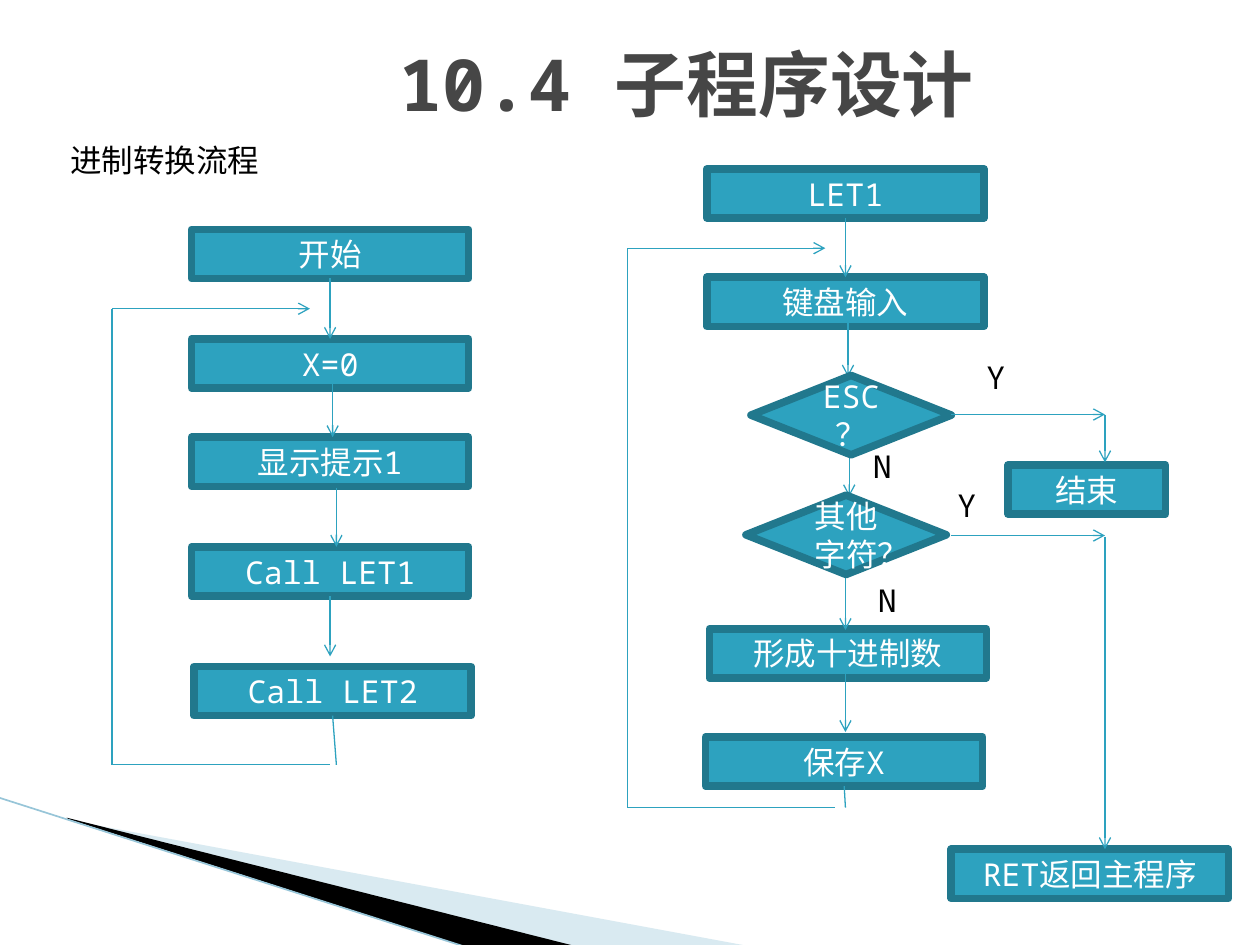
from dataclasses import dataclass
from lxml import etree
from pptx import Presentation
from pptx import util as u
from pptx.dml.color import RGBColor
from pptx.enum import shapes as sh, text as tx
from pptx.oxml.ns import qn


@dataclass(frozen=True)
class Theme:
    font: str = "Noto Sans Mono"
    title: str = "464646"
    fill: str = "2DA2BF"
    edge: str = "21788D"
    light: str = "FFFFFF"
    dark: str = "000000"
    pale: str = "A0CBDC"
    rule: str = "97C5D8"
    head: int = 41
    body: int = 18
    thick: float = 4.33
    thin: float = 0.75


T = Theme()
RECT = sh.MSO_SHAPE.RECTANGLE
DIAMOND = sh.MSO_SHAPE.DIAMOND
WIDE, HIGH = 2.2, 0.39


def rgb(code):
    return RGBColor.from_string(code)


def write(shape, words, color, size=T.body, bold=False, align=None):
    frame = shape.text_frame
    frame.text = words
    frame.word_wrap = True
    for para in frame.paragraphs:
        para.alignment = align
        for run in para.runs:
            font = run.font
            font.name, font.size, font.bold = T.font, u.Pt(size), bold
            font.color.rgb = rgb(color)
            east = etree.SubElement(run._r.get_or_add_rPr(), qn("a:ea"))
            east.set("typeface", T.font)
    return frame


def node(group, words, left, top, wide=WIDE, high=HIGH, kind=RECT):
    box = group.shapes.add_shape(kind, *map(u.Inches, (left, top, wide, high)))
    box.shadow.inherit = False
    box.fill.solid()
    box.fill.fore_color.rgb = rgb(T.fill)
    box.line.color.rgb = rgb(T.edge)
    box.line.width = u.Pt(T.thick)
    frame = write(box, words, T.light, align=tx.PP_ALIGN.CENTER)
    frame.vertical_anchor = tx.MSO_ANCHOR.MIDDLE


def label(owner, words, left, top, wide=0.43):
    box = owner.shapes.add_textbox(*map(u.Inches, (left, top, wide, 0.4)))
    write(box, words, T.dark).auto_size = tx.MSO_AUTO_SIZE.SHAPE_TO_FIT_TEXT


def line(owner, x1, y1, x2, y2, arrow=False, color=T.fill, width=T.thin):
    link = owner.shapes.add_connector(
        sh.MSO_CONNECTOR.STRAIGHT, *map(u.Inches, (x1, y1, x2, y2)))
    link.line.color.rgb = rgb(color)
    link.line.width = u.Pt(width)
    if arrow:
        etree.SubElement(link.line._get_or_add_ln(), qn("a:tailEnd")).set("type", "arrow")
    etree.SubElement(link._element.spPr, qn("a:effectLst"))


def loop(group, left, top, base, turn):
    line(group, left, top, left, base)
    line(group, left, base, turn, base)
    line(group, left, top, left + 1.57, top, True)


def wedge(slide, points, color, alpha=None):
    first, *rest = [(u.Inches(x), u.Inches(y)) for x, y in points]
    build = slide.shapes.build_freeform(*first)
    build.add_line_segments(rest, close=True)
    shape = build.convert_to_shape()
    shape.shadow.inherit = False
    shape.line.fill.background()
    shape.fill.solid()
    shape.fill.fore_color.rgb = rgb(color)
    if alpha:
        tint = shape._element.spPr.find(qn("a:solidFill"))[0]
        etree.SubElement(tint, qn("a:alpha")).set("val", str(alpha * 1000))


def decor(slide):
    wedge(slide, [(0.55, 6.51), (5.95, 7.51), (4.56, 7.51), (0.55, 6.5)], T.pale, 40)
    wedge(slide, [(0.53, 6.49), (4.57, 7.51), (3.72, 7.52), (0.54, 6.5)], T.dark)
    line(slide, -0.01, 6.33, 3.71, 7.52, color=T.rule, width=0.95)


def title(slide, words):
    head = slide.shapes.title
    head.left, head.top, head.width, head.height = map(u.Inches, (0.95, 0.03, 9, 1.25))
    frame = write(head, words, T.title, T.head, True, tx.PP_ALIGN.CENTER)
    frame.vertical_anchor = tx.MSO_ANCHOR.MIDDLE


def main_flow(slide):
    group = slide.shapes.add_group_shape()
    for words, left, top in (("开始", 1.52, 1.82), ("X=0", 1.52, 2.69),
                             ("显示提示1", 1.52, 3.47), ("Call LET1", 1.52, 4.34),
                             ("Call LET2", 1.54, 5.29)):
        node(group, words, left, top)
    for x, top, end in ((2.62, 2.21, 2.69), (2.64, 3, 3.47),
                        (2.67, 3.87, 4.34), (2.62, 4.73, 5.21)):
        line(group, x, top, x, end, True)
    loop(group, 0.89, 2.45, 6.07, 2.62)
    line(group, 2.64, 5.68, 2.67, 6.07)


def input_flow(slide):
    group = slide.shapes.add_group_shape()
    for words, left, top in (("LET1", 5.61, 1.34), ("键盘输入", 5.61, 2.2),
                             ("保存X", 5.6, 5.85), ("形成十进制数", 5.63, 4.99),
                             ("RET返回主程序", 7.55, 6.74)):
        node(group, words, left, top)
    node(group, "结束", 8, 3.69, 1.25)
    for x, top, end in ((6.71, 1.73, 2.2), (6.73, 2.52, 2.99), (6.74, 3.47, 3.94),
                        (6.71, 4.52, 5), (6.71, 5.33, 5.81),
                        (8.77, 3.29, 3.67), (8.77, 4.26, 6.74)):
        line(group, x, top, x, end, True)
    loop(group, 4.98, 1.97, 6.41, 6.63)
    line(group, 6.7, 6.24, 6.71, 6.41)
    for words, left, top in (("ESC？", 5.96, 2.98), ("其他字符？", 5.92, 3.93)):
        node(group, words, left, top, 1.59, 0.63, DIAMOND)
    for y in (3.29, 4.25):
        line(group, 7.55, y, 8.77, y, True)
    for words, left, top in (("Y", 7.73, 2.79), ("N", 6.83, 3.5),
                             ("Y", 7.5, 3.81), ("N", 6.87, 4.56)):
        label(group, words, left, top)


def main():
    deck = Presentation()
    deck.slide_width, deck.slide_height = u.Inches(10), u.Inches(7.5)
    slide = deck.slides.add_slide(deck.slide_layouts[5])
    decor(slide)
    title(slide, "10.4 子程序设计")
    main_flow(slide)
    input_flow(slide)
    label(slide, "进制转换流程", 0.46, 1.07, 1.86)
    deck.save("out.pptx")


if __name__ == "__main__":
    main()
